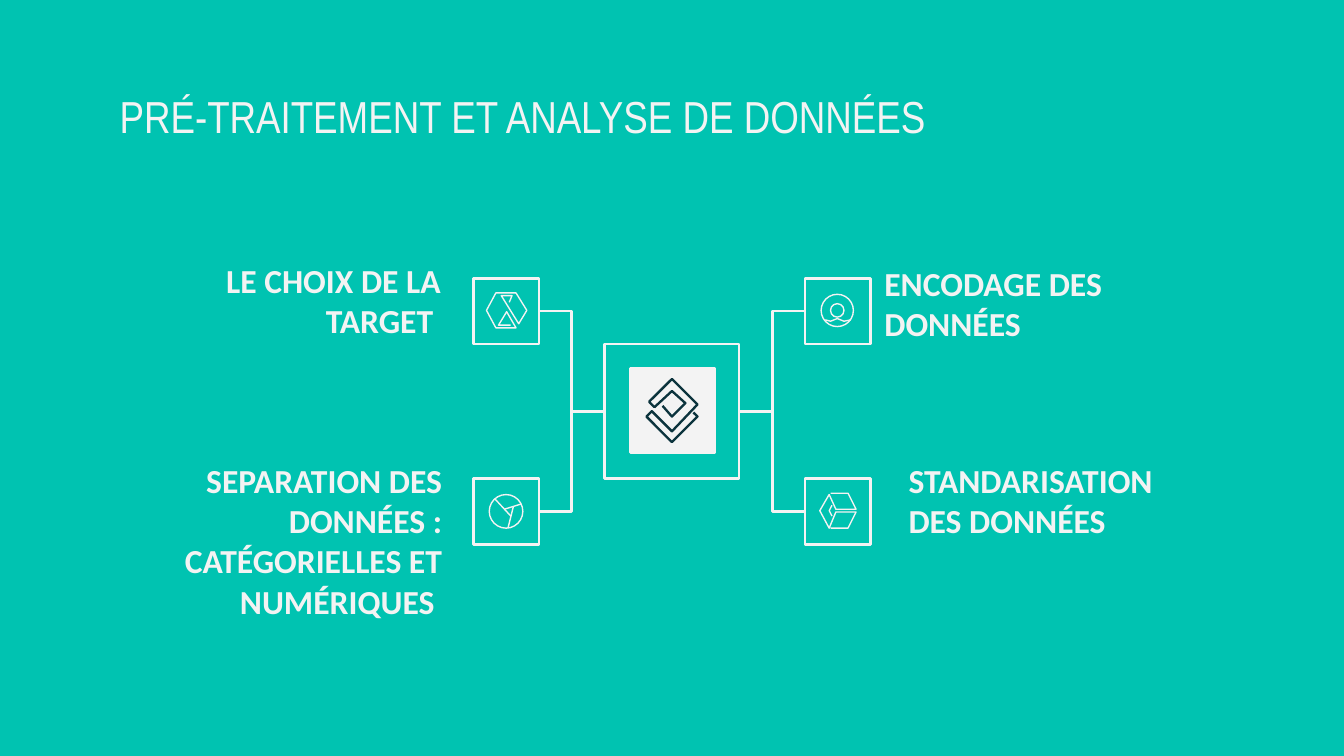
import pptx
import pptx.util
import pptx.oxml
import pptx.oxml.ns
from lxml import etree
from pptx.dml.color import RGBColor
from pptx.enum.shapes import MSO_CONNECTOR, MSO_SHAPE
from pptx.enum.text import MSO_ANCHOR, MSO_AUTO_SIZE, PP_ALIGN

TEAL = RGBColor(0x00, 0xC3, 0xB1)
PALE = RGBColor(0xF3, 0xF3, 0xF3)
DARK = RGBColor(0x0C, 0x34, 0x3D)

Inches = pptx.util.Inches
Pt = pptx.util.Pt


class Board:
    def __init__(self, slide):
        self.slide = slide
        self.shapes = slide.shapes
        slide.background.fill.solid()
        slide.background.fill.fore_color.rgb = TEAL

    def text(self, index, words, at, font, size, bold=False,
             align=PP_ALIGN.LEFT, anchor=MSO_ANCHOR.TOP, after=0):
        holder = self.slide.placeholders[index]
        holder.left, holder.top, holder.width, holder.height = map(Inches, at)
        frame = holder.text_frame
        frame.text = words
        frame.word_wrap = True
        frame.auto_size = MSO_AUTO_SIZE.NONE
        frame.vertical_anchor = anchor
        frame.margin_left = frame.margin_right = Inches(0.1)
        frame.margin_top = frame.margin_bottom = Inches(0.1)
        para = frame.paragraphs[0]
        props = para._p.get_or_add_pPr()
        props.set("marL", "0")
        props.set("indent", "0")
        etree.SubElement(props, pptx.oxml.ns.qn("a:buNone"))
        para.alignment = align
        para.space_before = Pt(0)
        para.space_after = Pt(after)
        for run in para.runs:
            run.font.name = font
            run.font.size = Pt(size)
            run.font.bold = bold
            run.font.color.rgb = PALE

    def style(self, shape, width, color=PALE, fill=None):
        shape.shadow.inherit = False
        if fill is None:
            shape.fill.background()
        else:
            shape.fill.solid()
            shape.fill.fore_color.rgb = fill
        shape.line.color.rgb = color
        shape.line.width = Pt(width)
        return shape

    def box(self, left, top, size, fill=None):
        shape = self.shapes.add_shape(
            MSO_SHAPE.RECTANGLE, *map(Inches, (left, top, size, size)))
        return self.style(shape, 1.5, fill=fill)

    def ring(self, left, top, size):
        shape = self.shapes.add_shape(
            MSO_SHAPE.OVAL, *map(Inches, (left, top, size, size)))
        return self.style(shape, 0.75)

    def stroke(self, points, width=0.75, color=PALE):
        spots = [(Inches(x), Inches(y)) for x, y in points]
        pen = self.shapes.build_freeform(*spots[0])
        pen.add_line_segments(spots[1:], close=False)
        return self.style(pen.convert_to_shape(), width, color)

    def link(self, start, start_side, end, end_side):
        line = self.shapes.add_connector(MSO_CONNECTOR.ELBOW, 0, 0, 0, 0)
        line.begin_connect(start, start_side)
        line.end_connect(end, end_side)
        line.line.color.rgb = PALE
        line.line.width = Pt(1.5)
        etree.SubElement(line._element.spPr, pptx.oxml.ns.qn("a:effectLst"))


def main():
    deck = pptx.Presentation()
    deck.slide_width = Inches(10)
    deck.slide_height = Inches(10 * 9 / 16)
    board = Board(deck.slides.add_slide(deck.slide_layouts[4]))

    # Title
    board.text(0, "PRÉ-TRAITEMENT ET ANALYSE DE DONNÉES",
               (0.79, 0.56, 8.43, 0.63), "Arial Narrow", 24)

    # Step labels
    labels = [
        (1, "LE CHOIX DE LA TARGET ", (0.94, 1.92, 2.44, 0.63),
         PP_ALIGN.RIGHT, MSO_ANCHOR.MIDDLE),
        (2, "ENCODAGE DES DONNÉES", (6.48, 2.01, 2.4, 0.49),
         PP_ALIGN.LEFT, MSO_ANCHOR.MIDDLE),
        (3, "SEPARATION DES DONNÉES : CATÉGORIELLES ET NUMÉRIQUES ",
         (1.07, 3.32, 2.32, 1.39), PP_ALIGN.RIGHT, MSO_ANCHOR.TOP),
        (4, "STANDARISATION DES DONNÉES", (6.66, 3.32, 2.4, 1),
         PP_ALIGN.LEFT, MSO_ANCHOR.TOP),
    ]
    for index, words, at, align, anchor in labels:
        board.text(index, words, at, "Calibri", 18, True, align, anchor, 16)

    # Hub with its emblem
    hub = board.box(4.5, 2.56, 1)
    board.box(4.69, 2.74, 0.63, PALE)
    board.stroke([(4.93, 3.02), (5, 3.1), (5.1, 3), (5, 2.91), (4.87, 3.03),
                  (4.83, 2.99), (5, 2.82), (5.19, 3.01), (5, 3.21),
                  (4.85, 3.06), (4.81, 3.1), (5, 3.29), (5.19, 3.1),
                  (5.16, 3.07)], 1.25, DARK)

    # Hourglass icon
    board.stroke([(3.79, 2.25), (3.81, 2.2), (3.73, 2.2), (3.86, 2.41),
                  (3.92, 2.31), (3.84, 2.18), (3.69, 2.18), (3.62, 2.31),
                  (3.69, 2.44), (3.84, 2.44), (3.77, 2.32), (3.71, 2.42),
                  (3.8, 2.42)])

    # Ring icon
    board.ring(6.11, 2.19, 0.24)
    board.ring(6.18, 2.26, 0.1)
    board.stroke([(6.14, 2.38), (6.18, 2.39), (6.23, 2.37), (6.28, 2.39),
                  (6.33, 2.38)])

    # Pie icon
    board.ring(3.64, 3.68, 0.25)
    board.stroke([(3.68, 3.71), (3.8, 3.84)])
    board.stroke([(3.75, 3.79), (3.88, 3.75)])
    board.stroke([(3.82, 3.77), (3.78, 3.93)])

    # Cube icon
    board.stroke([(6.18, 3.67), (6.31, 3.67), (6.37, 3.79), (6.22, 3.79),
                  (6.17, 3.68), (6.1, 3.8), (6.17, 3.93), (6.22, 3.81),
                  (6.37, 3.81), (6.31, 3.93), (6.18, 3.93)])
    board.stroke([(6.19, 3.76), (6.17, 3.8), (6.19, 3.84)])

    # Icon frames joined to the hub
    for left, side, hub_side in ((3.52, 3, 1), (5.99, 1, 3)):
        for top in (2.07, 3.56):
            frame = board.box(left, top, 0.49)
            board.link(frame, side, hub, hub_side)

    deck.save("out.pptx")


if __name__ == "__main__":
    main()
